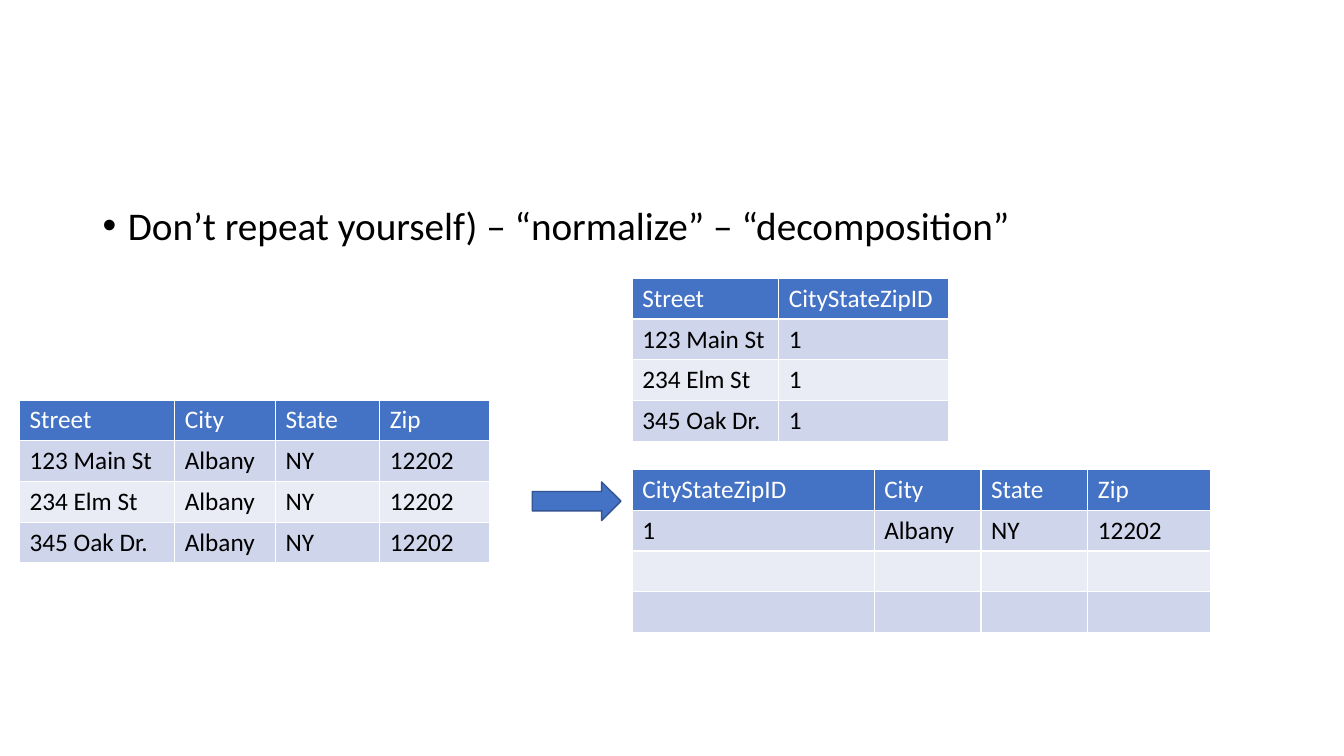
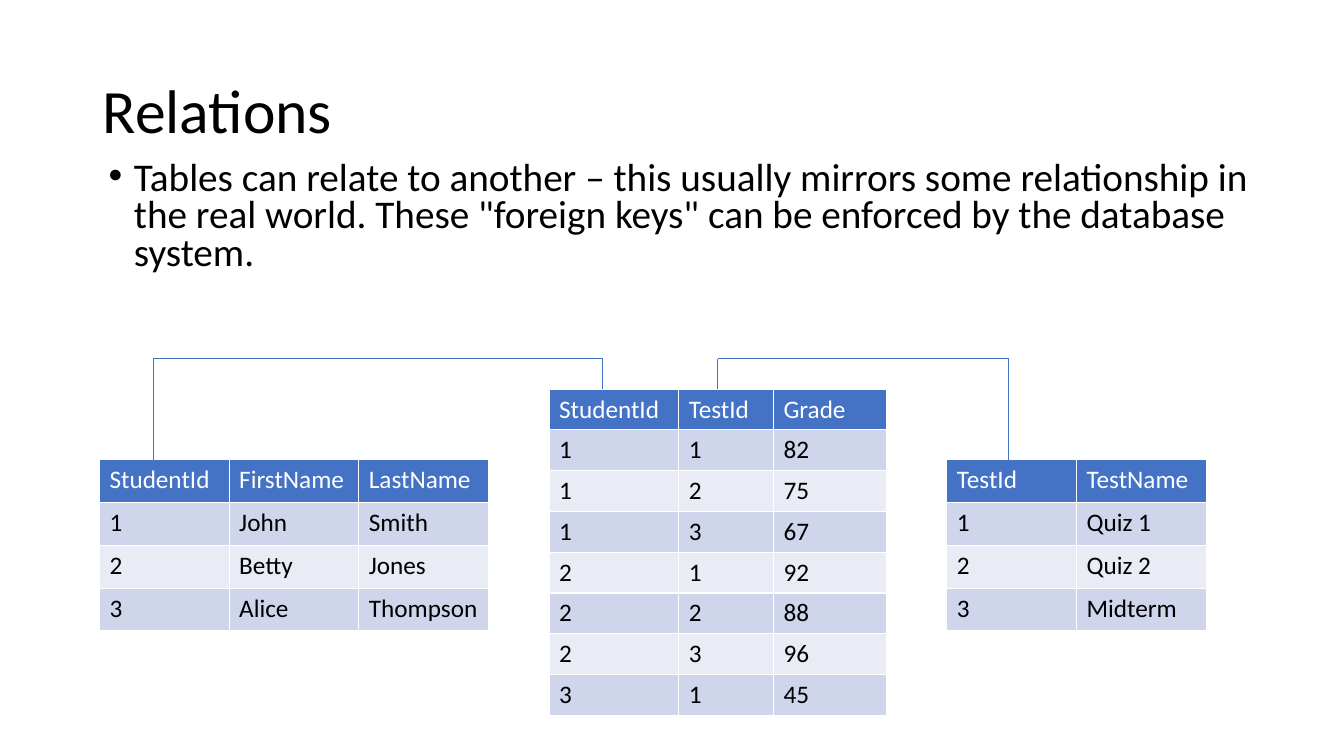
from dataclasses import dataclass
from itertools import pairwise

from lxml import etree
from pptx import Presentation
from pptx.dml.color import RGBColor
from pptx.enum.shapes import MSO_CONNECTOR, MSO_SHAPE
from pptx.enum.text import MSO_ANCHOR
from pptx.oxml.ns import qn
from pptx.util import Inches, Pt

STRAIGHT = MSO_CONNECTOR.STRAIGHT
RIGHT_ARROW = MSO_SHAPE.RIGHT_ARROW
TOP, MIDDLE = MSO_ANCHOR.TOP, MSO_ANCHOR.MIDDLE


@dataclass(frozen=True)
class Theme:
    font: str = "Calibri"
    ink: str = "000000"
    paper: str = "FFFFFF"
    accent: str = "4472C4"
    accent_dark: str = "325491"
    bands: tuple = ("CFD5EA", "E9EBF5")
    title_pt: int = 44
    body_pt: int = 28
    table_pt: int = 18


THEME = Theme()

# The slide is a grid of 100 columns by 100 rows; all positions use it.
WIDTH, HEIGHT = Inches(13.33), Inches(7.5)
MARGIN, TEXT_WIDTH = 6.9, 86.25
ROW = 5.4


def col(n):
    return round(WIDTH * n / 100)


def row(n):
    return round(HEIGHT * n / 100)


def rgb(value):
    return RGBColor.from_string(value)


def style_runs(p, size, color):
    for r in p.runs:
        r.font.name = THEME.font
        r.font.size = Pt(size)
        r.font.bold = False
        r.font.color.rgb = rgb(color)


# Text
def add_text(slide, box, text, size, spacing, anchor=TOP):
    x, y, w, h = box
    sp = slide.shapes.add_textbox(col(x), row(y), col(w), row(h))
    tf = sp.text_frame
    tf.word_wrap = True
    tf.vertical_anchor = anchor
    tf.text = text
    p = tf.paragraphs[0]
    p.line_spacing = spacing
    style_runs(p, size, THEME.ink)
    return p


def add_title(slide, text):
    add_text(slide, (MARGIN, 5.3, TEXT_WIDTH, 19.35), text,
             THEME.title_pt, 0.9, MIDDLE)


def add_bullet(slide, box, text, spacing):
    p = add_text(slide, box, text, THEME.body_pt, spacing)
    p.space_before = Pt(10)
    p_pr = p._p.get_or_add_pPr()
    p_pr.set("marL", str(Inches(0.25)))
    p_pr.set("indent", str(-Inches(0.25)))
    etree.SubElement(p_pr, qn("a:buFont"), typeface="Arial")
    etree.SubElement(p_pr, qn("a:buChar"), char="•")


# Tables
def add_borders(cell):
    tc_pr = cell._tc.get_or_add_tcPr()
    for i, side in enumerate(("lnL", "lnR", "lnT", "lnB")):
        ln = etree.Element(qn(f"a:{side}"), w=str(Pt(1)))
        fill = etree.SubElement(ln, qn("a:solidFill"))
        etree.SubElement(fill, qn("a:srgbClr"), val=THEME.paper)
        tc_pr.insert(i, ln)


def add_data_table(slide, x, y, widths, records, row_height=ROW):
    frame = slide.shapes.add_table(
        len(records), len(widths), col(x), row(y),
        col(sum(widths)), row(row_height * len(records)))
    table = frame.table
    for column, width in zip(table.columns, widths):
        column.width = col(width)
    for i, record in enumerate(records):
        table.rows[i].height = row(row_height)
        fill = THEME.bands[(i - 1) % 2] if i else THEME.accent
        color = THEME.ink if i else THEME.paper
        for j, value in enumerate(record):
            cell = table.cell(i, j)
            cell.fill.solid()
            cell.fill.fore_color.rgb = rgb(fill)
            add_borders(cell)
            cell.text_frame.text = value
            style_runs(cell.text_frame.paragraphs[0], THEME.table_pt, color)


# Arrow and relation lines
def add_arrow(slide, x, y, w, h):
    sp = slide.shapes.add_shape(RIGHT_ARROW, col(x), row(y), col(w), row(h))
    sp.shadow.inherit = False
    sp.fill.solid()
    sp.fill.fore_color.rgb = rgb(THEME.accent)
    sp.line.color.rgb = rgb(THEME.accent_dark)
    sp.line.width = Pt(1)


def add_relation(slide, start, end, rail):
    """Join two key columns by way of a level line above both tables."""
    points = (start, (start[0], rail), (end[0], rail), end)
    for (x1, y1), (x2, y2) in pairwise(points):
        line = slide.shapes.add_connector(
            STRAIGHT, col(x1), row(y1), col(x2), row(y2))
        line.line.color.rgb = rgb(THEME.accent)
        line.line.width = Pt(0.5)
        etree.SubElement(line._element.spPr, qn("a:effectLst"))


# Slides
def build_normalize(slide):
    streets = ("123 Main St", "234 Elm St", "345 Oak Dr.")
    place_head = ("City", "State", "Zip")
    place = ("Albany", "NY", "12202")
    split_x = 47.05

    add_bullet(slide, (MARGIN, 26.67, TEXT_WIDTH, 21),
               "Don’t repeat yourself) – “normalize” – “decomposition”", 0.9)
    add_data_table(slide, 1.46, 52.9, (11.55, 7.5, 7.75, 8.2),
                   [("Street", *place_head)] + [(s, *place) for s in streets])
    add_data_table(slide, split_x, 62.1, (18, 7.95, 7.95, 9.15),
                   [("CityStateZipID", *place_head), ("1", *place),
                    ("",) * 4, ("",) * 4])
    add_data_table(slide, split_x, 36.8, (10.9, 12.65),
                   [("Street", "CityStateZipID")] + [(s, "1") for s in streets])
    add_arrow(slide, 39.6, 63.75, 6.6, 5.1)


def build_relations(slide):
    key = 9.65
    outer_y, grades_y, rail = 60.8, 51.45, 47.45
    outer_row = 5.67

    add_bullet(slide, (7.35, 20.65, TEXT_WIDTH, 16.5),
               "Tables can relate to another – this usually mirrors some "
               "relationship in the real world. These \"foreign keys\" can be "
               "enforced by the database system.", 0.8)
    add_title(slide, "Relations")
    add_data_table(slide, 7.4, outer_y, (key,) * 3,
                   [("StudentId", "FirstName", "LastName"),
                    ("1", "John", "Smith"),
                    ("2", "Betty", "Jones"),
                    ("3", "Alice", "Thompson")], outer_row)
    add_data_table(slide, 70.45, outer_y, (key,) * 2,
                   [("TestId", "TestName"), ("1", "Quiz 1"),
                    ("2", "Quiz 2"), ("3", "Midterm")], outer_row)
    add_data_table(slide, 40.85, grades_y, (key, 7.05, 8.4),
                   [("StudentId", "TestId", "Grade"),
                    ("1", "1", "82"), ("1", "2", "75"), ("1", "3", "67"),
                    ("2", "1", "92"), ("2", "2", "88"), ("2", "3", "96"),
                    ("3", "1", "45")])
    for grades_x, outer_x in ((53.4, 75.05), (44.85, 11.4)):
        add_relation(slide, (grades_x, grades_y), (outer_x, outer_y), rail)


def main():
    prs = Presentation()
    prs.slide_width, prs.slide_height = WIDTH, HEIGHT
    blank = prs.slide_layouts[6]
    for build in (build_normalize, build_relations):
        build(prs.slides.add_slide(blank))
    prs.save("out.pptx")


if __name__ == "__main__":
    main()
